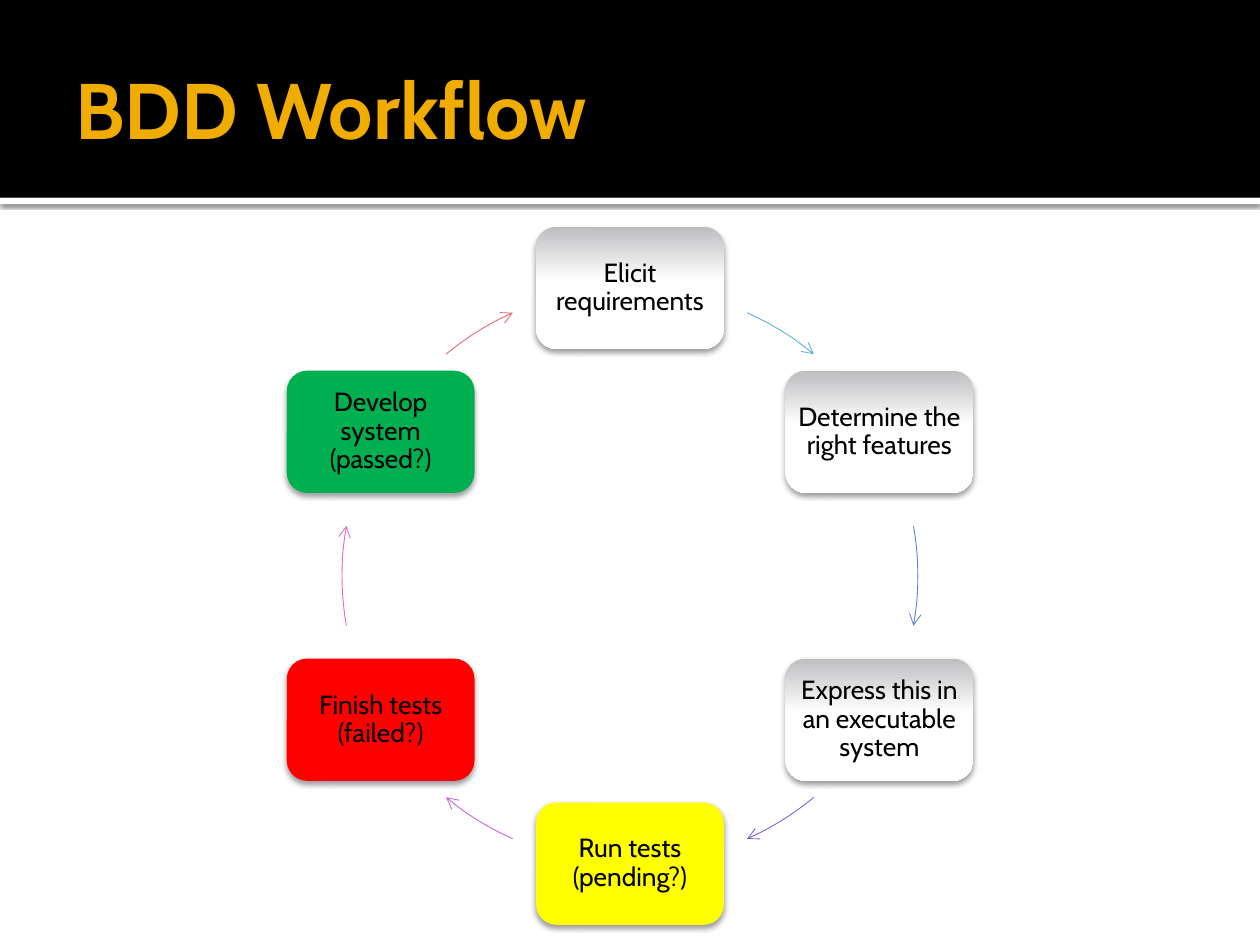
from math import cos, radians, sin

from lxml.etree import SubElement
from pptx import Presentation
from pptx.dml.color import RGBColor
from pptx.enum.shapes import MSO_SHAPE as Kind
from pptx.enum.text import MSO_ANCHOR as Anchor, MSO_AUTO_SIZE as Fit, PP_ALIGN as Align
from pptx.oxml.ns import qn
from pptx.util import Inches, Pt

FONT = "Cabin"
MID_X, MID_Y, RADIUS = 5, 4.57, 2.285
BOX_W, BOX_H = 1.49, 0.97
STEP = 60
# Text, box fill (None for the grey gradient), colour of the arrow that follows
STAGES = [
    ("Elicit requirements", None, "60B5CC"),
    ("Determine the right features", None, "627FD2"),
    ("Express this in an executable system", None, "8364D7"),
    ("Run tests (pending?)", "FFFF00", "C566DC"),
    ("Finish tests (failed?)", "FF0000", "E169BA"),
    ("Develop system (passed?)", "00B050", "E66C7D"),
]
# Start and end of each arrow, in degrees clockwise from three o'clock
ARCS = [(-66, -50.3), (-10, 10), (50.3, 66), (114, 129.7), (170, 190), (230.3, 246)]


def paint(color, code):
    """Set a colour format from a hex string."""
    color.rgb = RGBColor.from_string(code)


def add_shape(slide, kind, x, y, w, h, code=None):
    """Add a shape without line or shadow, solid if a colour is given."""
    shape = slide.shapes.add_shape(kind, Inches(x), Inches(y), Inches(w), Inches(h))
    shape.shadow.inherit = False
    shape.line.fill.background()
    if code:
        shape.fill.solid()
        paint(shape.fill.fore_color, code)
    return shape


def cast(shape, alpha, blur, dist):
    """Give a shape a black shadow that falls straight down."""
    effects = shape.element.spPr.find(qn("a:effectLst"))
    shade = SubElement(effects, qn("a:outerShdw"), blurRad=str(Pt(blur)),
                       dist=str(Pt(dist)), dir="5400000", algn="ctr", rotWithShape="0")
    black = SubElement(shade, qn("a:srgbClr"), val="000000")
    SubElement(black, qn("a:alpha"), val=str(alpha * 1000))


def fade(fill):
    """Fill from grey at the top to white."""
    fill.gradient()
    fill.gradient_angle = 270
    for stop, (place, code) in zip(fill.gradient_stops, [(0, "BEBEC1"), (0.44, "FFFFFF")]):
        stop.position = place
        paint(stop.color, code)


def write(frame, text, size, code, align, bold=False):
    """Write one run into a frame, anchored in the middle."""
    frame.word_wrap = True
    frame.auto_size = Fit.NONE
    frame.vertical_anchor = Anchor.MIDDLE
    para = frame.paragraphs[0]
    para.alignment = align
    run = para.add_run()
    run.text = text
    run.font.name, run.font.size, run.font.bold = FONT, Pt(size), bold
    paint(run.font.color, code)
    return para


def add_head(slide):
    """Add the black band, the white strip and the title."""
    strip = add_shape(slide, Kind.RECTANGLE, 0, 1.57, 10, 0.05, "FFFFFF")
    cast(strip, 60, 2.5, 0.8)
    add_shape(slide, Kind.RECTANGLE, 0, 0, 10, 1.57, "000000")
    title = slide.shapes.title
    title.left, title.top = Inches(0.5), Inches(0.17)
    title.width, title.height = Inches(9), Inches(1.37)
    frame = title.text_frame
    frame.margin_left = Inches(0.1)
    frame.margin_top = frame.margin_right = frame.margin_bottom = Inches(0.05)
    write(frame, "BDD Workflow", 45, "F0AD00", Align.LEFT, True)
    slide.shapes.element.append(title.element)  # bring the title above the band


def add_stage(slide, turn, text, code):
    """Add a box on the ring, centred at an angle in degrees."""
    x = MID_X + RADIUS * cos(radians(turn)) - BOX_W / 2
    y = MID_Y + RADIUS * sin(radians(turn)) - BOX_H / 2
    box = add_shape(slide, Kind.ROUNDED_RECTANGLE, x, y, BOX_W, BOX_H, code)
    if not code:
        fade(box.fill)
    cast(box, 38, 3.5, 2)
    frame = box.text_frame
    frame.margin_left = frame.margin_right = Inches(0.01)
    frame.margin_top = frame.margin_bottom = Inches(0.01)
    write(frame, text, 15, "000000", Align.CENTER).line_spacing = 0.9


def add_arc(slide, start, end, code):
    """Add a thin curved arrow along the ring."""
    arc = add_shape(slide, Kind.ARC, MID_X - RADIUS, MID_Y - RADIUS, 2 * RADIUS, 2 * RADIUS)
    for i, turn in enumerate((start, end)):
        arc.adjustments[i] = turn % 360 * 0.6  # 60000ths of a degree over 100000
    arc.fill.background()
    paint(arc.line.color, code)
    arc.line.width = Pt(0.5)
    SubElement(arc.line._get_or_add_ln(), qn("a:tailEnd"), type="arrow")


def main():
    """Build and save the slide."""
    deck = Presentation()
    deck.slide_width, deck.slide_height = Inches(10), Inches(7.5)
    slide = deck.slides.add_slide(deck.slide_layouts[5])
    add_head(slide)
    for i, ((text, fill, line), (start, end)) in enumerate(zip(STAGES, ARCS)):
        add_stage(slide, i * STEP - 90, text, fill)
        add_arc(slide, start, end, line)
    deck.save("out.pptx")


main()
